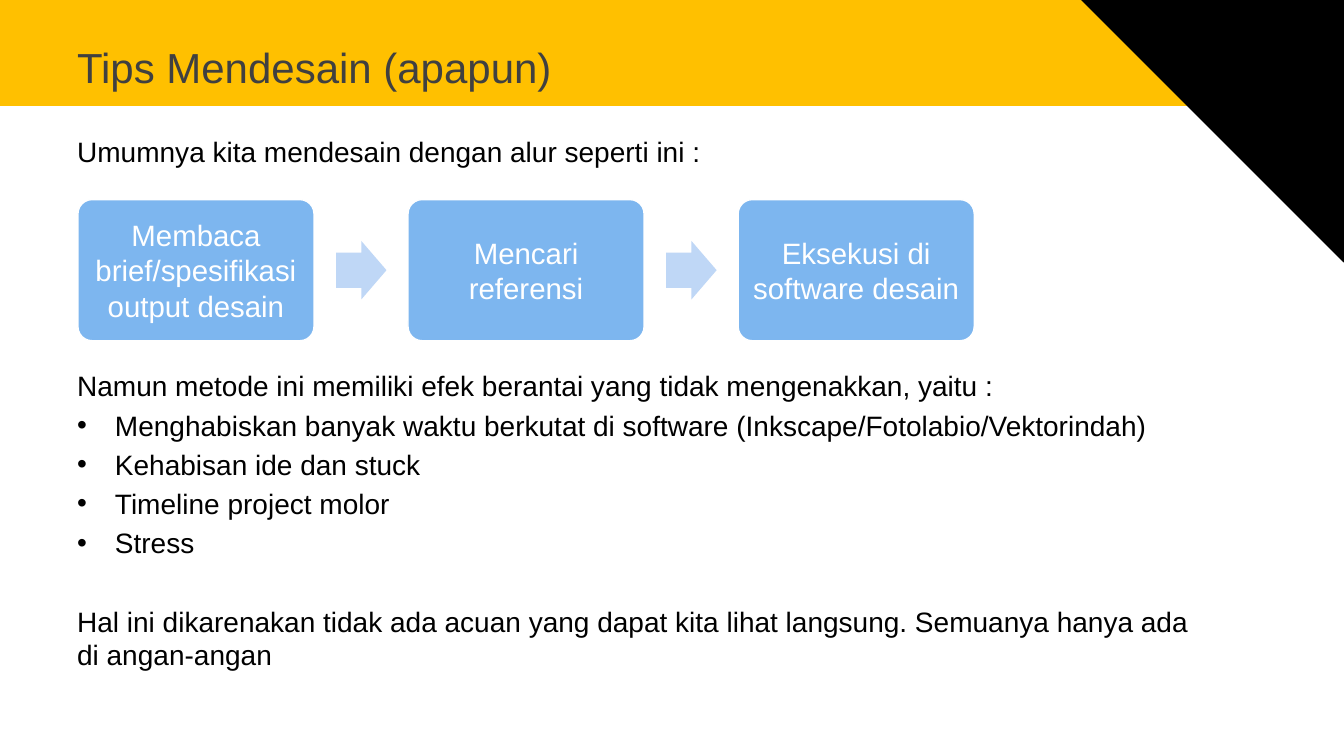
from pptx import Presentation
from pptx.dml.color import RGBColor
from pptx.enum.shapes import MSO_SHAPE
from pptx.enum.text import MSO_ANCHOR, PP_ALIGN
from pptx.oxml.ns import qn
from pptx.util import Pt
from lxml import etree

RECT, ROUND = MSO_SHAPE.RECTANGLE, MSO_SHAPE.ROUNDED_RECTANGLE
ARROW, CORNER = MSO_SHAPE.RIGHT_ARROW, MSO_SHAPE.RIGHT_TRIANGLE
MIDDLE, CENTER = MSO_ANCHOR.MIDDLE, PP_ALIGN.CENTER

# Content
TITLE = "Tips Mendesain (apapun)"
INTRO = "Umumnya kita mendesain dengan alur seperti ini :"
STEPS = [
    "Membaca brief/spesifikasi output desain",
    "Mencari referensi",
    "Eksekusi di software desain",
]
LEAD = "Namun metode ini memiliki efek berantai yang tidak mengenakkan, yaitu :"
EFFECTS = [
    "Menghabiskan banyak waktu berkutat di software (Inkscape/Fotolabio/Vektorindah)",
    "Kehabisan ide dan stuck",
    "Timeline project molor",
    "Stress",
]
CLOSE = ("Hal ini dikarenakan tidak ada acuan yang dapat kita lihat langsung. "
         "Semuanya hanya ada di angan-angan")

COLORS = {"band": "FFC000", "title": "404040", "text": "000000", "step": "7DB6EF",
          "arrow": "BFD7F6", "white": "FFFFFF", "corner": "000000"}
FONT = "Arial"

# Layout, in points
WIDE, HIGH = 960, 540
LEFT, BODY_W = 48, 813
STEP_X, STEP_Y, STEP_W, STEP_H, PITCH = 55.7, 142.6, 168.6, 100.8, 235.8
ARROW_W, ARROW_H, ARROW_GAP = 36, 41.8, 15.8
GAP, INDENT = 4, 27


def color(name):
    return RGBColor.from_string(COLORS[name])


def add_form(kind, box, fill, line=None):
    form = slide.shapes.add_shape(kind, *map(Pt, box))
    form.shadow.inherit = False
    form.fill.solid()
    form.fill.fore_color.rgb = color(fill)
    if line:
        form.line.color.rgb = color(line)
        form.line.width = Pt(1)
    else:
        form.line.fill.background()
    return form


def set_text(para, text, size, tint):
    para.text = text
    para.font.name, para.font.size = FONT, Pt(size)
    para.font.color.rgb = color(tint)


def add_bullet(para):
    props = para._p.get_or_add_pPr()
    props.set("marL", str(Pt(INDENT)))
    props.set("indent", str(-Pt(INDENT)))
    etree.SubElement(props, qn("a:buFont")).set("typeface", FONT)
    etree.SubElement(props, qn("a:buChar")).set("char", "•")


def add_text(box, rows, size, tint):
    """Each row is (text, space before, bulleted)."""
    frame = slide.shapes.add_textbox(*map(Pt, box)).text_frame
    frame.word_wrap = True
    for i, (text, space, dot) in enumerate(rows):
        para = frame.add_paragraph() if i else frame.paragraphs[0]
        if dot:
            add_bullet(para)
        para.space_before = Pt(space)
        set_text(para, text, size, tint)
    return frame


deck = Presentation()
deck.slide_width, deck.slide_height = Pt(WIDE), Pt(HIGH)
slide = deck.slides.add_slide(deck.slide_layouts[6])

# Title band
add_form(RECT, (0, 0, WIDE, 75.6), "band")
title = add_text((LEFT, 21.6, 864, 52.6), [(TITLE, 0, False)], 30, "title")
title.vertical_anchor = MIDDLE

# Body text
add_text((LEFT, 92.5, BODY_W, 32), [(INTRO, 0, False)], 20, "text")
rows = [(LEAD, 0, False)] + [(text, GAP, True) for text in EFFECTS]
rows.append((CLOSE, 32, False))
add_text((LEFT, 260, BODY_W, 222), rows, 20, "text")

# Flow of steps
for i, text in enumerate(STEPS):
    x = STEP_X + i * PITCH
    step = add_form(ROUND, (x, STEP_Y, STEP_W, STEP_H), "step", "white")
    step.adjustments[0] = 0.1
    frame = step.text_frame
    frame.word_wrap = True
    frame.vertical_anchor = MIDDLE
    frame.margin_left = frame.margin_right = Pt(6.3)
    frame.margin_top = frame.margin_bottom = Pt(6.3)
    frame.paragraphs[0].alignment = CENTER
    set_text(frame.paragraphs[0], text, 21, "white")
    if i < len(STEPS) - 1:
        y = STEP_Y + (STEP_H - ARROW_H) / 2
        arrow = add_form(ARROW, (x + STEP_W + ARROW_GAP, y, ARROW_W, ARROW_H), "arrow")
        arrow.adjustments[0], arrow.adjustments[1] = 0.6, 0.5

# Corner triangle
corner = add_form(CORNER, (771, -2, 189, 189), "corner", "corner")
corner.rotation = 180

deck.save("out.pptx")
